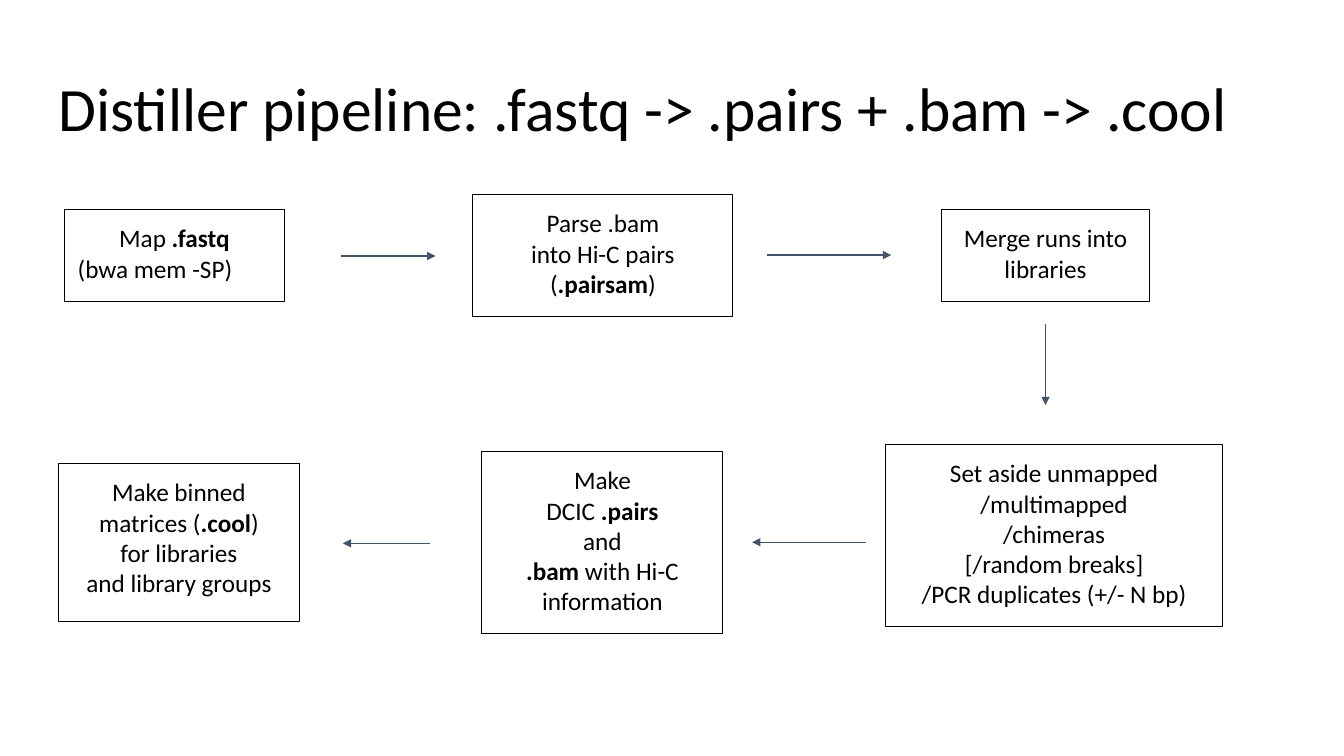
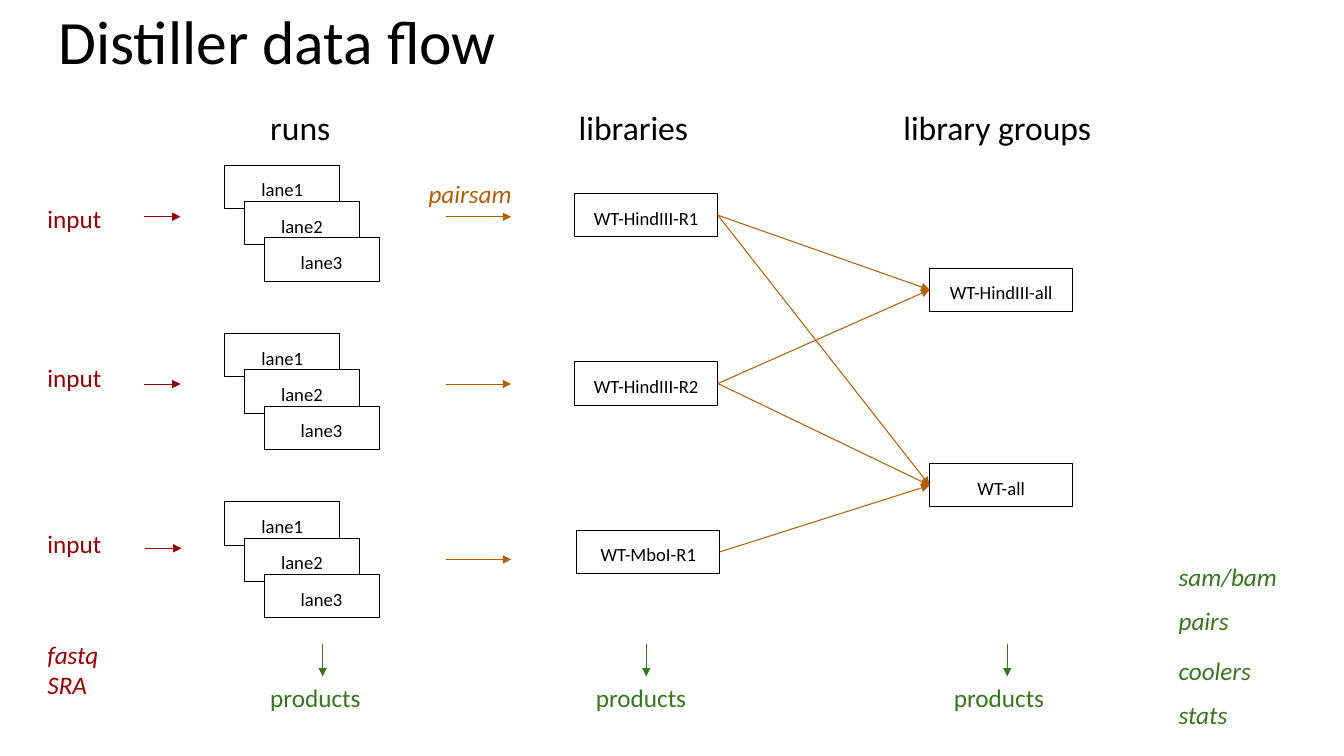
from lxml import etree
from pptx import Presentation
from pptx import util as u
from pptx.dml.color import RGBColor
from pptx.enum import shapes, text
from pptx.oxml.ns import qn

PX = 9144
FONT = "Calibri"
BLACK = RGBColor(0x00, 0x00, 0x00)
WHITE = RGBColor(0xFF, 0xFF, 0xFF)
SLATE = RGBColor(0x44, 0x54, 0x6A)
RED = RGBColor(0x98, 0x00, 0x00)
ORANGE = RGBColor(0xB4, 0x5F, 0x06)
GREEN = RGBColor(0x38, 0x76, 0x1D)
LEFT, CENTER = text.PP_ALIGN.LEFT, text.PP_ALIGN.CENTER
INSET = 13
LINE_WIDTH = 0.75
TITLE_SIZE, HEADING_SIZE, BODY_SIZE, SMALL_SIZE = 44, 24, 18, 13.3

# Each line alternates regular and bold parts.
STAGES = [
    ((64, 208, 218, 91), [("Map ", ".fastq"), ("(bwa mem -SP)",)], LEFT),
    ((469, 193, 258, 121),
     [("Parse .bam",), ("into Hi-C pairs",), ("(", ".pairsam", ")")], CENTER),
    ((934, 208, 206, 91), [("Merge runs into libraries",)], CENTER),
    ((878, 441, 335, 181),
     [("Set aside unmapped",), ("/multimapped",), ("/chimeras",),
      ("[/random breaks]",), ("/PCR duplicates (+/- N bp)",)], CENTER),
    ((478, 448, 239, 181),
     [("Make",), ("DCIC ", ".pairs"), ("and",),
      ("", ".bam", " with Hi-C information")], CENTER),
    ((58, 460, 239, 157),
     [("Make binned",), ("matrices (", ".cool", ")"), ("for libraries",),
      ("and library groups",)], CENTER),
]
STAGE_ARROWS = [
    (338, 254, 432, 254), (761, 253, 884, 253), (1037, 321, 1037, 402),
    (859, 538, 746, 538), (427, 539, 340, 539),
]

HEADINGS = [("runs", 255, 132), ("libraries", 561, 163), ("library groups", 883, 296)]
LANES = ["lane1", "lane2", "lane3"]
LIBRARIES = [("WT-HindIII-R1", 570), ("WT-HindIII-R2", 570), ("WT-MboI-R1", 572)]
GROUPS = [("WT-HindIII-all", 266, [0, 1]), ("WT-all", 460, [0, 1, 2])]
INPUTS = [(189, 143, 215), (346, 143, 381), (511, 144, 544)]
PAIRSAM_ARROWS = [215, 381, 555]
PRODUCTS = [(255, 320), (578, 641), (933, 999)]
FORMATS = [("sam/bam", 544), ("pairs", 588), ("coolers", 637), ("stats", 681)]
ROW_PITCH, LANE_STEP_X, LANE_STEP_Y = 167, 19.5, 36
LANE_SIZE, NODE_SIZE, LABEL_SIZE = (114, 43), (142, 43), (132, 49)


def emu(*lengths):
    return [u.Emu(round(length * PX)) for length in lengths]


def write(frame, lines, size, color=BLACK, align=LEFT, last_align=None,
          italic=False, spacing=None):
    frame.word_wrap = True
    frame.vertical_anchor = text.MSO_ANCHOR.TOP
    frame.margin_left, frame.margin_top, frame.margin_right, frame.margin_bottom = emu(*[INSET] * 4)
    for number, parts in enumerate(lines):
        paragraph = frame.add_paragraph() if number else frame.paragraphs[0]
        paragraph.alignment = align
        if spacing:
            paragraph.line_spacing = spacing
        for position, part in enumerate(parts):
            if part:
                run = paragraph.add_run()
                run.text = part
                run.font.name = FONT
                run.font.size = u.Pt(size)
                run.font.color.rgb = color
                run.font.bold = position % 2 == 1
                run.font.italic = italic
    if last_align is not None:
        paragraph.alignment = last_align


def add_label(slide, area, lines, size=BODY_SIZE, color=BLACK, **style):
    label = slide.shapes.add_textbox(*emu(*area))
    write(label.text_frame, [(line,) for line in lines], size, color, **style)


def add_box(slide, area, lines, size, last_align=CENTER):
    box = slide.shapes.add_shape(shapes.MSO_SHAPE.RECTANGLE, *emu(*area))
    box.shadow.inherit = False
    box.fill.solid()
    box.fill.fore_color.rgb = WHITE
    box.line.color.rgb = BLACK
    box.line.width = u.Pt(LINE_WIDTH)
    write(box.text_frame, lines, size, align=CENTER, last_align=last_align)
    return box


def add_arrow(slide, ends, color):
    arrow = slide.shapes.add_connector(shapes.MSO_CONNECTOR.STRAIGHT, *emu(*ends))
    arrow.line.color.rgb = color
    arrow.line.width = u.Pt(LINE_WIDTH)
    properties = arrow._element.spPr
    etree.SubElement(properties.find(qn("a:ln")), qn("a:tailEnd"), type="triangle")
    etree.SubElement(properties, qn("a:effectLst"))
    return arrow


def add_slide(deck, title, top):
    slide = deck.slides.add_slide(deck.slide_layouts[6])
    add_label(slide, (45, top, 1242, 84), [title], TITLE_SIZE, spacing=0.9)
    return slide


def build_pipeline(deck):
    slide = add_slide(deck, "Distiller pipeline: .fastq -> .pairs + .bam -> .cool", 65)
    for area, lines, last_align in STAGES:
        add_box(slide, area, lines, BODY_SIZE, last_align)
    for ends in STAGE_ARROWS:
        add_arrow(slide, ends, SLATE)


def build_data_flow(deck):
    slide = add_slide(deck, "Distiller data flow", -2)
    for heading, left, width in HEADINGS:
        add_label(slide, (left, 93, width, 49), [heading], HEADING_SIZE)

    for label_top, left, y in INPUTS:
        add_label(slide, (34, label_top, *LABEL_SIZE), ["input"], color=RED)
        add_arrow(slide, (left, y, left + 36, y), RED)
    add_label(slide, (34, 621, *LABEL_SIZE), ["fastq", "SRA"], color=RED, italic=True)

    libraries = []
    for row, (library, left) in enumerate(LIBRARIES):
        offset = row * ROW_PITCH
        for step, lane in enumerate(LANES):
            corner = (223 + step * LANE_STEP_X, 164 + offset + step * LANE_STEP_Y)
            add_box(slide, (*corner, *LANE_SIZE), [(lane,)], SMALL_SIZE)
        libraries.append(
            add_box(slide, (left, 192 + offset, *NODE_SIZE), [(library,)], SMALL_SIZE))

    for name, top, members in GROUPS:
        group = add_box(slide, (922, top, *NODE_SIZE), [(name,)], SMALL_SIZE)
        for member in members:
            link = add_arrow(slide, (0, 0, 0, 0), ORANGE)
            link.begin_connect(libraries[member], 3)
            link.end_connect(group, 1)

    for y in PAIRSAM_ARROWS:
        add_arrow(slide, (442, y, 507, y), ORANGE)
    add_label(slide, (412, 164, 125, 49), ["pairsam"], color=ORANGE, italic=True)

    for left, x in PRODUCTS:
        add_arrow(slide, (x, 639, x, 671), GREEN)
        add_label(slide, (left, 664, *LABEL_SIZE), ["products"], color=GREEN)
    for name, top in FORMATS:
        add_label(slide, (1156, top, 163, 49), [name], color=GREEN, italic=True)


def main():
    deck = Presentation()
    deck.slide_width, deck.slide_height = emu(1333, 750)
    build_pipeline(deck)
    build_data_flow(deck)
    deck.save("out.pptx")


if __name__ == "__main__":
    main()
